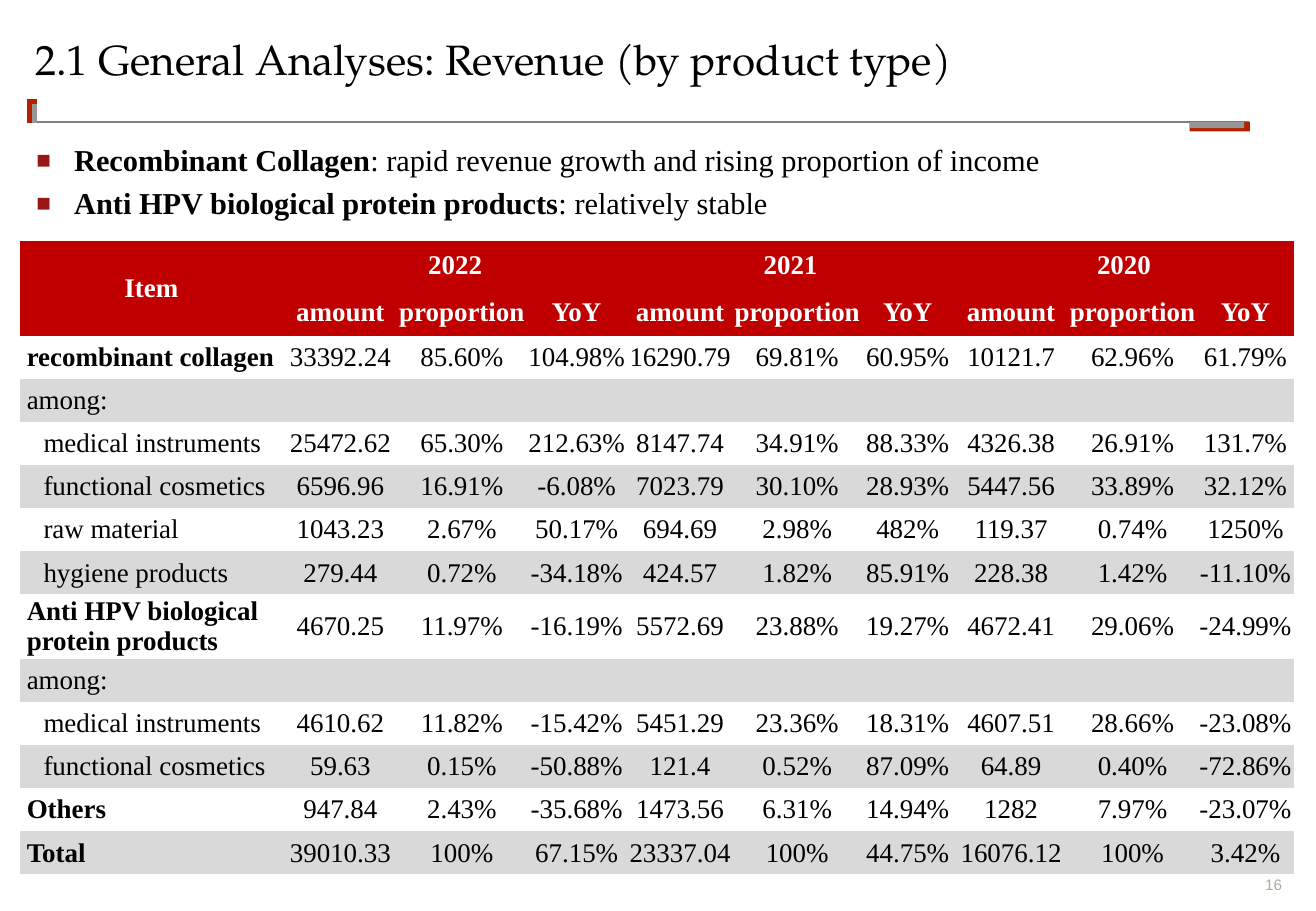
from dataclasses import dataclass

from lxml.etree import SubElement
from pptx import Presentation
from pptx.dml.color import RGBColor
from pptx.enum.shapes import MSO_CONNECTOR as Connector, MSO_SHAPE as Preset
from pptx.enum.text import MSO_ANCHOR as Anchor, MSO_AUTO_SIZE as AutoSize, PP_ALIGN as Align
from pptx.oxml.ns import qn
from pptx.util import Cm, Pt


@dataclass(frozen=True)
class Theme:
    black: str = "000000"
    white: str = "FFFFFF"
    header: str = "C00000"
    band: str = "D9D9D9"
    rule: str = "808080"
    accent: str = "B42100"
    shade: str = "969696"
    bullet: str = "9B1717"
    number: str = "ADABA1"
    title_font: str = "TeX Gyre Pagella"
    body_font: str = "Times New Roman"
    number_font: str = "Arial"
    title_size: int = 25
    body_size: int = 18
    table_size: int = 16
    number_size: int = 9


@dataclass(frozen=True)
class Box:
    """A region in centimetres."""
    left: float
    top: float
    width: float
    height: float

    @property
    def lengths(self):
        return Cm(self.left), Cm(self.top), Cm(self.width), Cm(self.height)


THEME = Theme()
NO_STYLE = "{2D5ABB26-0587-4C30-8999-92F81FD0307C}"

POINTS = [
    ("Recombinant Collagen", ": rapid revenue growth and rising proportion of income"),
    ("Anti HPV biological protein products", ": relatively stable"),
]
YEARS = ["2022", "2021", "2020"]
MEASURES = ["amount", "proportion", "YoY"]
COLUMN_WIDTHS = [5.51, 2.39, 2.69, 2.11, 2.21, 2.69, 1.93, 2.39, 2.69, 2.03]
HEADER_HEIGHT, ROW_HEIGHT, TALL_HEIGHT = 0.99, 0.9, 1.28
GROUP, NOTE, ITEM = "group", "note", "item"
ROWS = [
    (GROUP, "recombinant collagen",
     "33392.24 85.60% 104.98% 16290.79 69.81% 60.95% 10121.7 62.96% 61.79%"),
    (NOTE, "among:", ""),
    (ITEM, "medical instruments",
     "25472.62 65.30% 212.63% 8147.74 34.91% 88.33% 4326.38 26.91% 131.7%"),
    (ITEM, "functional cosmetics",
     "6596.96 16.91% -6.08% 7023.79 30.10% 28.93% 5447.56 33.89% 32.12%"),
    (ITEM, "raw material", "1043.23 2.67% 50.17% 694.69 2.98% 482% 119.37 0.74% 1250%"),
    (ITEM, "hygiene products",
     "279.44 0.72% -34.18% 424.57 1.82% 85.91% 228.38 1.42% -11.10%"),
    (GROUP, "Anti HPV biological protein products",
     "4670.25 11.97% -16.19% 5572.69 23.88% 19.27% 4672.41 29.06% -24.99%"),
    (NOTE, "among:", ""),
    (ITEM, "medical instruments",
     "4610.62 11.82% -15.42% 5451.29 23.36% 18.31% 4607.51 28.66% -23.08%"),
    (ITEM, "functional cosmetics",
     "59.63 0.15% -50.88% 121.4 0.52% 87.09% 64.89 0.40% -72.86%"),
    (GROUP, "Others", "947.84 2.43% -35.68% 1473.56 6.31% 14.94% 1282 7.97% -23.07%"),
    (GROUP, "Total", "39010.33 100% 67.15% 23337.04 100% 44.75% 16076.12 100% 3.42%"),
]


def add_span(para, text, font, size, color, bold=False):
    span = para.add_run()
    span.text = text
    span.font.name, span.font.size, span.font.bold = font, Pt(size), bold
    span.font.color.rgb = RGBColor.from_string(color)


def clear_margins(target):
    target.margin_left = target.margin_right = target.margin_top = target.margin_bottom = 0


def add_rule(page, x1, y1, x2, y2, color, weight):
    rule = page.shapes.add_connector(Connector.STRAIGHT, Cm(x1), Cm(y1), Cm(x2), Cm(y2))
    rule.line.color.rgb = RGBColor.from_string(color)
    rule.line.width = Pt(weight)
    SubElement(rule._element.spPr, qn("a:effectLst"))


def add_divider(page, box):
    right, line_y = box.left + box.width, box.top + 0.49
    add_rule(page, box.left + 0.1, line_y, right, line_y, THEME.rule, 1)
    # Left corner
    add_rule(page, box.left, line_y + 0.03, box.left, box.top, THEME.accent, 6)
    add_rule(page, box.left + 0.06, line_y + 0.03, box.left + 0.06, box.top + 0.12,
             THEME.shade, 3)
    # Right tab
    for width, height, color in [(1.26, 0.2, THEME.accent), (1.14, 0.13, THEME.shade)]:
        tab = Box(right - 1.24, line_y, width, height)
        bar = page.shapes.add_shape(Preset.RECTANGLE, *tab.lengths)
        bar.shadow.inherit = False
        bar.fill.solid()
        bar.fill.fore_color.rgb = RGBColor.from_string(color)
        bar.line.fill.background()


def set_title(page, box, text):
    title = page.shapes.title
    title.left, title.top, title.width, title.height = box.lengths
    frame = title.text_frame
    clear_margins(frame)
    frame.auto_size, frame.vertical_anchor, frame.word_wrap = AutoSize.NONE, Anchor.TOP, True
    para = frame.paragraphs[0]
    para.alignment, para.line_spacing = Align.LEFT, 0.9
    add_span(para, text, THEME.title_font, THEME.title_size, THEME.black)


def add_bullet(para):
    props = para._p.get_or_add_pPr()
    props.set("marL", str(Cm(0.79)))
    props.set("indent", str(-Cm(0.79)))
    SubElement(SubElement(props, qn("a:buClr")), qn("a:srgbClr"), val=THEME.bullet)
    SubElement(props, qn("a:buSzPct"), val="80000")
    SubElement(props, qn("a:buFont"), typeface=THEME.number_font)
    SubElement(props, qn("a:buChar"), char="■")


def add_points(page, box):
    frame = page.shapes.add_textbox(*box.lengths).text_frame
    frame.word_wrap = True
    for index, (lead, rest) in enumerate(POINTS):
        para = frame.add_paragraph() if index else frame.paragraphs[0]
        add_bullet(para)
        para.level, para.line_spacing = 1, 0.9
        para.space_before = Pt(6 if index else 0)
        add_span(para, lead, THEME.body_font, THEME.body_size, THEME.black, True)
        add_span(para, rest, THEME.body_font, THEME.body_size, THEME.black)


def fill_cell(cell, text, fill=None, color=THEME.black, bold=False, indent=None):
    clear_margins(cell)
    cell.vertical_anchor = Anchor.MIDDLE
    if fill:
        cell.fill.solid()
        cell.fill.fore_color.rgb = RGBColor.from_string(fill)
    else:
        cell.fill.background()
    para = cell.text_frame.paragraphs[0]
    para.alignment = Align.CENTER if indent is None else Align.LEFT
    if indent is not None:
        para._p.get_or_add_pPr().set("marL", str(Cm(indent)))
    if text:
        add_span(para, text, THEME.body_font, THEME.table_size, color, bold)


def add_revenue_table(page, box):
    shape = page.shapes.add_table(len(ROWS) + 2, len(COLUMN_WIDTHS), *box.lengths)
    table = shape.table
    table.first_row = table.horz_banding = False
    next(shape._element.iter(qn("a:tableStyleId"))).text = NO_STYLE
    for column, width in zip(table.columns, COLUMN_WIDTHS):
        column.width = Cm(width)

    # Two header rows
    years = [text for year in YEARS for text in (year, "", "")]
    for row, texts in enumerate([["Item"] + years, [""] + MEASURES * len(YEARS)]):
        table.rows[row].height = Cm(HEADER_HEIGHT)
        for col, text in enumerate(texts):
            fill_cell(table.cell(row, col), text, THEME.header, THEME.white, True)
    table.cell(0, 0).merge(table.cell(1, 0))
    for col in range(1, len(COLUMN_WIDTHS), len(MEASURES)):
        table.cell(0, col).merge(table.cell(0, col + len(MEASURES) - 1))

    # Body rows, every second one shaded
    for index, (kind, label, figures) in enumerate(ROWS):
        row = index + 2
        fill = THEME.band if index % 2 else None
        table.rows[row].height = Cm(TALL_HEIGHT if len(label) > 30 else ROW_HEIGHT)
        fill_cell(table.cell(row, 0), label, fill, bold=kind == GROUP,
                  indent=0.5 if kind == ITEM else 0.15)
        values = figures.split() or [""] * (len(COLUMN_WIDTHS) - 1)
        for col, value in enumerate(values, 1):
            fill_cell(table.cell(row, col), value, fill)


def add_page_number(page, box, number):
    frame = page.shapes.add_textbox(*box.lengths).text_frame
    clear_margins(frame)
    frame.word_wrap, frame.vertical_anchor = True, Anchor.BOTTOM
    para = frame.paragraphs[0]
    para.alignment = Align.RIGHT
    add_span(para, number, THEME.number_font, THEME.number_size, THEME.number)


def main():
    deck = Presentation()
    deck.slide_width, deck.slide_height = Cm(27.51), Cm(19.05)
    page = deck.slides.add_slide(deck.slide_layouts[5])
    add_page_number(page, Box(26.01, 18.31, 0.79, 0.38), "16")
    add_divider(page, Box(0.66, 2.06, 25.45, 0.69))
    set_title(page, Box(0.74, 0.81, 26.04, 1.7),
              "2.1 General Analyses: Revenue (by product type)")
    add_revenue_table(page, Box(0.41, 5.05, 26.64, 13.26))
    add_points(page, Box(0.51, 2.92, 23.85, 2.21))
    deck.save("out.pptx")


if __name__ == "__main__":
    main()
